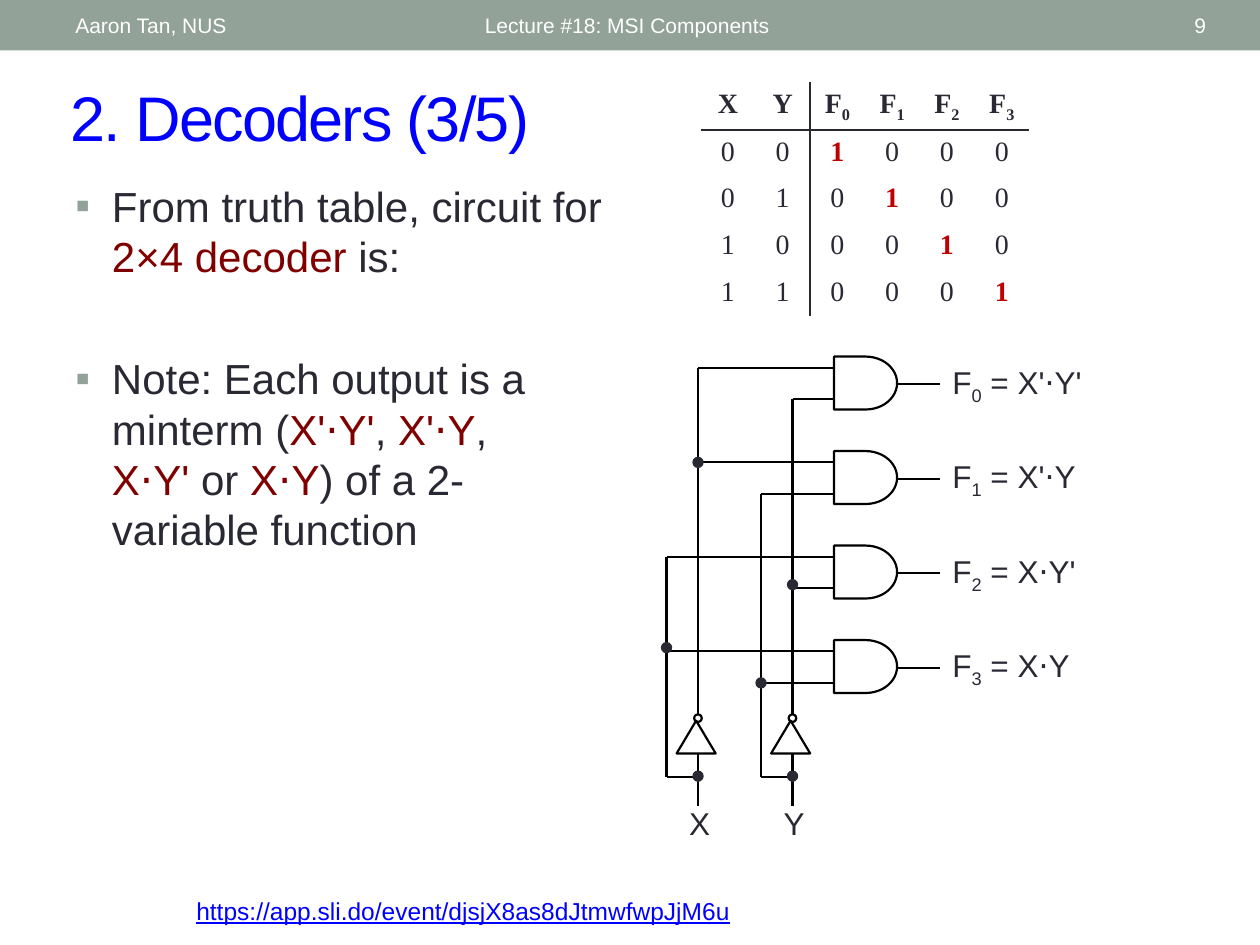
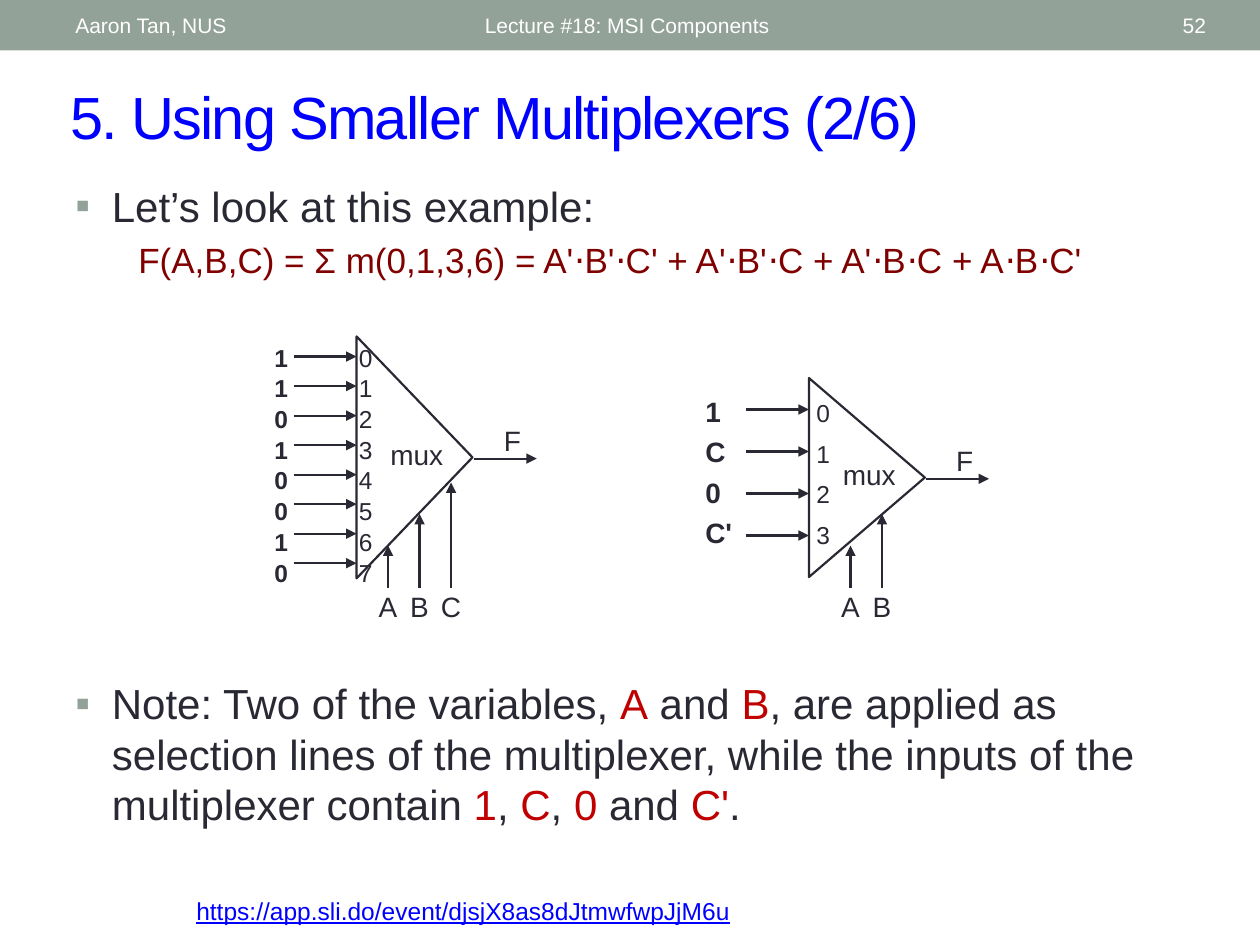
from lxml import etree
from pptx import Presentation
from pptx import util as u
from pptx.dml.color import RGBColor
from pptx.enum import shapes, text
from pptx.oxml.ns import qn

INK = RGBColor(0x29, 0x29, 0x34)
BLACK = RGBColor(0, 0, 0)
WHITE = RGBColor(0xFF, 0xFF, 0xFF)
BLUE = RGBColor(0, 0, 0xFF)
SAGE = RGBColor(0x93, 0xA2, 0x99)
MAROON = RGBColor(0x80, 0, 0)
RED = RGBColor(0xC0, 0, 0)
SANS, SERIF = "Arial", "Times New Roman"
KIND = shapes.MSO_SHAPE
LEFT, MID, RIGHT = text.PP_ALIGN.LEFT, text.PP_ALIGN.CENTER, text.PP_ALIGN.RIGHT
LINK = "https://app.sli.do/event/djsjX8as8dJtmwfwpJjM6u"


def add(parent, tag, **attrs):
    return etree.SubElement(parent, qn(tag), attrs)


def write(para, words, size=18, color=INK, font=SANS, bold=False, line=False,
          align=LEFT, accent=None, sub=False, tight=False):
    """Pieces between bars take the accent colour or the subscript."""
    para.alignment = align
    for i, piece in enumerate(words.split("|")):
        if not piece:
            continue
        run = para.add_run()
        run.text = piece
        face = run.font
        face.name, face.size, face.bold = font, u.Pt(size), bold
        face.underline = line
        odd = i % 2 == 1
        face.color.rgb = accent if odd and accent else color
        if odd and sub:
            face._element.set("baseline", "-25000")
        if tight:
            face._element.set("spc", "-100")


def indent(para, left, first=0, mark=None):
    props = para._p.get_or_add_pPr()
    props.set("marL", str(u.Inches(left)))
    props.set("indent", str(u.Inches(first)))
    if mark:
        add(add(props, "a:buClr"), "a:srgbClr", val=str(SAGE))
        add(props, "a:buFont", typeface=SANS)
        add(props, "a:buChar", char=mark)


class Deck:
    def __init__(self):
        self.prs = Presentation()
        self.prs.slide_width, self.prs.slide_height = u.Inches(10), u.Inches(7.5)
        self.slide = None

    def page(self, title, number, size):
        self.slide = self.prs.slides.add_slide(self.prs.slide_layouts[5])
        self.shape(KIND.RECTANGLE, (0, 0, 10, 0.4), fill=SAGE)
        head = self.slide.shapes.title
        head.left, head.top, head.width, head.height = map(
            u.Inches, (0.46, 0.57, 9.36, 0.7))
        self.frame(head, True)
        write(head.text_frame.paragraphs[0], title, size=size, color=BLUE, tight=True)
        for words, left, width, align in (
                ("Aaron Tan, NUS", 0.5, 3.17, LEFT),
                ("Lecture #18: MSI Components", 3.75, 4.5, LEFT),
                (str(number), 8.72, 0.95, RIGHT)):
            self.put(words, (left, 0.02, width, 0.36), middle=True, size=12,
                     color=WHITE, align=align)
        self.put(LINK, (1.46, 7.06, 8.04, 0.34), size=14, color=BLUE, line=True)

    def frame(self, box, middle):
        frame = box.text_frame
        frame.word_wrap = True
        frame.auto_size = text.MSO_AUTO_SIZE.NONE
        anchor = text.MSO_ANCHOR
        frame.vertical_anchor = anchor.MIDDLE if middle else anchor.TOP
        return frame

    def put(self, words, at, middle=False, gap=0, **style):
        box = self.slide.shapes.add_textbox(*map(u.Inches, at))
        frame = self.frame(box, middle)
        for i, row in enumerate(words.split("\n")):
            para = frame.add_paragraph() if i else frame.paragraphs[0]
            if i and gap:
                para.space_before = u.Pt(gap)
            write(para, row, **style)
        return frame

    def point(self, words, at, accent=None):
        frame = self.put("", at)
        indent(frame.paragraphs[0], 0.29, -0.29, "▪")
        write(frame.paragraphs[0], words, size=24, accent=accent)
        return frame

    def shape(self, kind, at, fill=None, line=None, width=1.25, turn=0):
        item = self.slide.shapes.add_shape(kind, *map(u.Inches, at))
        item.shadow.inherit = False
        item.rotation = turn
        for part, color in ((item.fill, fill), (item.line.fill, line)):
            if color is None:
                part.background()
            else:
                part.solid()
                part.fore_color.rgb = color
        if line is not None:
            item.line.width = u.Pt(width)

    def dot(self, x, y):
        self.shape(KIND.OVAL, (x - 0.04, y - 0.04, 0.08, 0.08), INK, INK, 0.75)

    def wire(self, x1, y1, x2, y2, color=BLACK, arrow=False):
        item = self.slide.shapes.add_connector(
            shapes.MSO_CONNECTOR.STRAIGHT, *map(u.Inches, (x1, y1, x2, y2)))
        item.line.color.rgb = color
        item.line.width = u.Pt(1.25)
        props = item.element.spPr
        if arrow:
            add(props.find(qn("a:ln")), "a:tailEnd", type="triangle")
        add(props, "a:effectLst")

    def arrow(self, *ends):
        self.wire(*ends, color=INK, arrow=True)

    def table(self, rows, at):
        grid = self.slide.shapes.add_table(
            len(rows), len(rows[0]), *map(u.Inches, at)).table
        grid.first_row = grid.horz_banding = False
        for r, row in enumerate(rows):
            for c, words in enumerate(row):
                cell = grid.cell(r, c)
                props = cell._tc.get_or_add_tcPr()
                for side, shown in (("L", c == 2), ("R", c == 1),
                                    ("T", r == 1), ("B", r == 0)):
                    edge = add(props, "a:ln" + side, w=str(u.Pt(1)))
                    if shown:
                        add(add(edge, "a:solidFill"), "a:srgbClr", val=str(INK))
                    else:
                        add(edge, "a:noFill")
                cell.fill.background()
                hot = r > 0 and c == r + 1
                write(cell.text_frame.paragraphs[0], words, size=16, font=SERIF,
                      align=MID, bold=r == 0 or hot, color=RED if hot else INK,
                      sub=True)

    def mux(self, x, top, high, feeds, picks, tip):
        wide = 0.92
        self.shape(KIND.ISOSCELES_TRIANGLE,
                   (x + (wide - high) / 2, top + (high - wide) / 2, high, wide),
                   line=INK, turn=90)
        self.put("mux", (x + 0.17, tip - 0.22, 0.75, 0.37), size=16)
        self.arrow(x + 0.93, tip, x + 1.43, tip)
        self.put("F", (x + 1.07, tip - 0.33, 0.41, 0.37), size=16)
        for y in feeds:
            self.arrow(x - 0.5, y, x, y)
        for i, name in enumerate(picks):
            mid = x + 0.25 * (i + 1) + (0.08 if high < 1.7 else 0)
            self.arrow(mid, 4.67, mid, 4.33 - 0.25 * i)
            self.put(name, (mid - 0.2, 4.63, 0.4, 0.37), size=16, align=MID)


def decoder(deck):
    deck.page("2. Decoders (3/5)", 9, 36)
    deck.point("From truth table, circuit for |2×4 decoder| is:",
               (0.5, 1.38, 4.75, 1.04), MAROON)
    deck.point("Note: Each output is a minterm (|X'⋅Y'|, |X'⋅Y|, |X⋅Y'| or |X⋅Y|)"
               " of a 2-variable function", (0.5, 2.75, 3.92, 1.92), MAROON)
    rows = [["X", "Y"] + [f"F|{i}|" for i in range(4)]]
    for i in range(4):
        rows.append([str(i // 2), str(i % 2)] + [str(int(i == k)) for k in range(4)])
    deck.table(rows, (5.56, 0.65, 2.61, 1.85))

    for i, term in enumerate(("X'⋅Y'", "X'⋅Y", "X⋅Y'", "X⋅Y")):
        top = 2.83 + 0.75 * i
        deck.shape(KIND.FLOWCHART_DELAY, (6.62, top, 0.5, 0.42), line=BLACK)
        deck.wire(5.54 if i < 2 else 5.29, top + 0.09, 6.62, top + 0.09)
        deck.wire(6.04 if i % 2 else 6.29, top + 0.34, 6.62, top + 0.34)
        deck.wire(7.12, top + 0.22, 7.46, top + 0.22)
        deck.put(f"F|{i}| = {term}", (7.46, top, 1.29, 0.4), sub=True)

    for name, x, plain, flipped in (("X", 5.54, 4.42, 2.92), ("Y", 6.29, 3.92, 3.17)):
        deck.wire(x, flipped, x, 5.67)
        deck.wire(x - 0.25, plain, x - 0.25, 6.17)
        deck.wire(x - 0.25, 6.17, x, 6.17)
        deck.wire(x, 5.98, x, 6.4)
        deck.shape(KIND.ISOSCELES_TRIANGLE, (x - 0.17, 5.72, 0.31, 0.26), line=BLACK)
        deck.shape(KIND.OVAL, (x - 0.03, 5.67, 0.06, 0.06), line=BLACK)
        deck.dot(x, 6.16)
        deck.put(name, (x - 0.17, 6.33, 0.42, 0.4))
    for x, y in ((5.54, 3.67), (6.29, 4.64), (6.04, 5.42), (5.29, 5.14)):
        deck.dot(x, y)


def muxes(deck):
    deck.page("5. Using Smaller Multiplexers (2/6)", 52, 34)
    frame = deck.point("Let’s look at this example:", (0.5, 1.38, 9, 1.12))
    para = frame.add_paragraph()
    indent(para, 0.5)
    para.space_before = u.Pt(4.6)
    write(para, "F(A,B,C) = Σ m(0,1,3,6) = A'⋅B'⋅C' + A'⋅B'⋅C + A'⋅B⋅C + A⋅B⋅C'",
          size=20, color=MAROON)

    deck.mux(2.83, 2.67, 1.92, [2.83 + 1.64 * i / 7 for i in range(8)], "ABC", 3.64)
    deck.put("\n".join("01234567"), (2.75, 2.67, 0.42, 1.96), gap=0.75, size=14)
    deck.put("\n".join("11010010"), (2.08, 2.67, 0.42, 1.99), gap=0.75, size=14,
             bold=True)

    deck.mux(6.42, 3, 1.58, [3.25 + i / 3 for i in range(4)], "AB", 3.8)
    deck.put("\n".join("0123"), (6.38, 3.11, 0.42, 1.31), gap=6.4, size=14)
    deck.put("1\nC\n0\nC'", (5.5, 3.08, 0.5, 1.33), gap=4, size=16, bold=True)

    deck.point("Note: Two of the variables, |A| and |B|, are applied as selection lines"
               " of the multiplexer, while the inputs of the multiplexer contain"
               " |1|, |C|, |0| and |C'|.", (0.5, 5.33, 9, 1.42), RED)


def main():
    deck = Deck()
    decoder(deck)
    muxes(deck)
    deck.prs.save("out.pptx")


if __name__ == "__main__":
    main()
